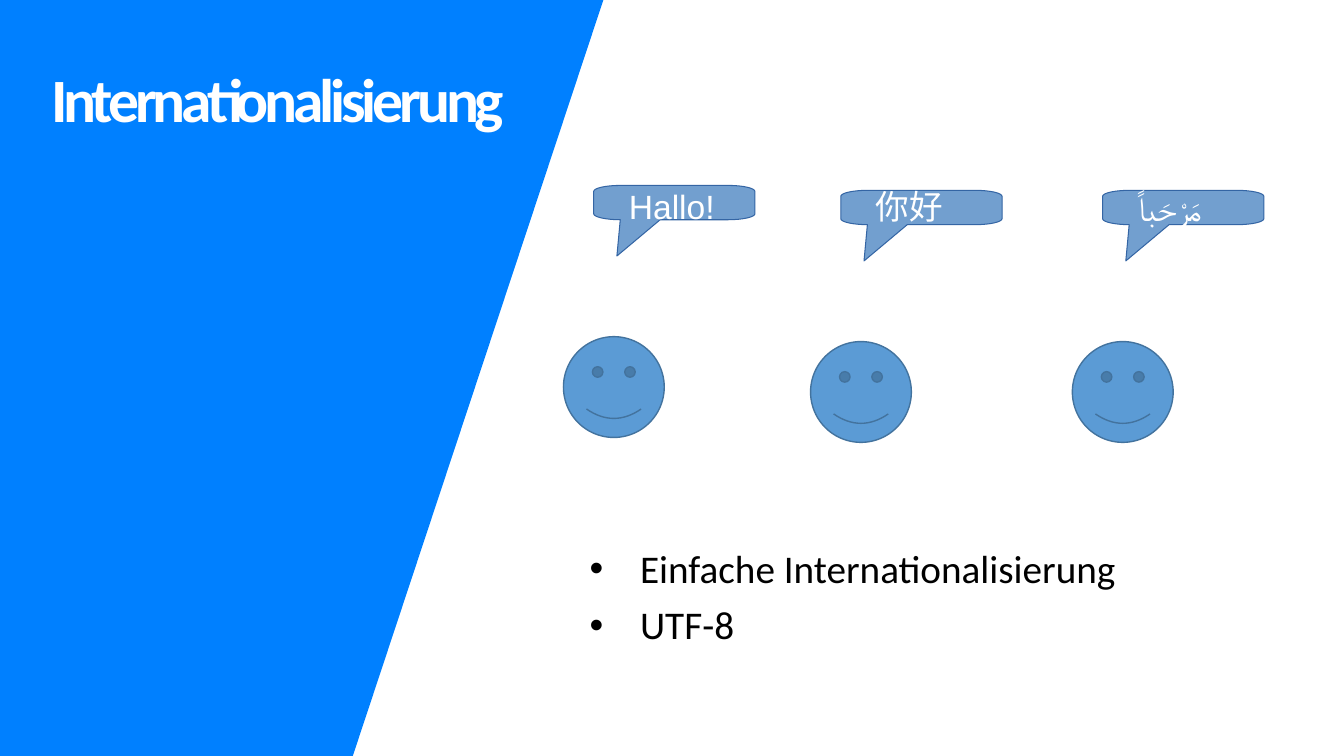
from math import cos, pi, sin

from lxml.etree import SubElement
from pptx import Presentation
from pptx.dml.color import RGBColor
from pptx.enum.shapes import MSO_SHAPE
from pptx.enum.text import MSO_ANCHOR, MSO_AUTO_SIZE, PP_ALIGN
from pptx.oxml.ns import qn
from pptx.util import Pt


def color(value):
    return RGBColor.from_string(value)


def apply(target, values):
    for name, value in values.items():
        setattr(target, name, value)


def place(item, left, top, width, height):
    apply(item, {"left": Pt(left), "top": Pt(top),
                 "width": Pt(width), "height": Pt(height)})


class SlideStyle:
    panel = "0080FF"
    face, face_line = "5B9BD5", "43739E"
    bubble, bubble_line = "729FCF", "3465A4"
    white, black = "FFFFFF", "000000"
    title_font = {"name": "Calibri", "size": Pt(44), "bold": True}
    list_font = {"name": "Calibri", "size": Pt(28)}
    speech_font = {"name": "Arial", "size": Pt(24)}

    def __init__(self, page):
        self.page = page

    def paint(self, shape, fill, line=None, width=1):
        shape.shadow.inherit = False
        shape.fill.solid()
        shape.fill.fore_color.rgb = color(fill)
        if line:
            shape.line.color.rgb = color(line)
            shape.line.width = Pt(width)
        else:
            shape.line.fill.background()
        return shape

    def add_span(self, para, text, font, tint):
        span = para.add_run()
        span.text = text
        apply(span.font, font)
        span.font.color.rgb = color(tint)
        return span

    def outline(self, points):
        points = [(Pt(x), Pt(y)) for x, y in points]
        builder = self.page.shapes.build_freeform(*points[0])
        builder.add_line_segments(points[1:], close=True)
        return builder.convert_to_shape()

    def background(self, points):
        panel = self.paint(self.outline(points), self.panel)
        self.page.shapes.title.element.addprevious(panel.element)

    def title(self, text, *bounds):
        box = self.page.shapes.title
        place(box, *bounds)
        apply(box.text_frame, {"auto_size": MSO_AUTO_SIZE.NONE,
                               "vertical_anchor": MSO_ANCHOR.MIDDLE})
        para = box.text_frame.paragraphs[0]
        apply(para, {"alignment": PP_ALIGN.LEFT, "line_spacing": 0.9})
        span = self.add_span(para, text, self.title_font, self.white)
        span._r.get_or_add_rPr().set("spc", "-300")

    def bullets(self, lines, *bounds):
        box = self.page.placeholders[1]
        place(box, *bounds)
        frame = box.text_frame
        frame.auto_size = MSO_AUTO_SIZE.NONE
        for index, line in enumerate(lines):
            para = frame.add_paragraph() if index else frame.paragraphs[0]
            apply(para, {"line_spacing": 0.9, "space_before": Pt(10)})
            self.add_span(para, line, self.list_font, self.black)
            properties = para._p.get_or_add_pPr()
            properties.set("marL", str(Pt(36)))
            properties.set("indent", str(-Pt(36)))
            tint = SubElement(properties, qn("a:buClr"))
            SubElement(tint, qn("a:srgbClr")).set("val", self.black)
            SubElement(properties, qn("a:buFont")).set("typeface", "Arial")
            SubElement(properties, qn("a:buChar")).set("char", "•")

    def smiley(self, left, top):
        face = self.page.shapes.add_shape(
            MSO_SHAPE.SMILEY_FACE, Pt(left), Pt(top), Pt(72), Pt(72))
        self.paint(face, self.face, self.face_line)

    def speech_bubble(self, left, top):
        width, height, radius_x, radius_y, steps = 115.2, 24.5, 19, 4.3, 8
        corners = [(width - radius_x, radius_y),
                   (width - radius_x, height - radius_y),
                   (radius_x, height - radius_y),
                   (radius_x, radius_y)]
        points = []
        for corner, (x, y) in enumerate(corners):
            if corner == 2:
                points += [(47.5, height), (16.6, 50.4)]
            for step in range(steps + 1):
                angle = (corner - 1 + step / steps) * pi / 2
                points.append((x + radius_x * cos(angle),
                               y + radius_y * sin(angle)))
        bubble = self.outline([(left + x, top + y) for x, y in points])
        self.paint(bubble, self.bubble, self.bubble_line, 0.75)

    def speech(self, text, left, top):
        box = self.page.shapes.add_textbox(Pt(left), Pt(top), Pt(79.2), Pt(34))
        box.text_frame.word_wrap = True
        para = box.text_frame.paragraphs[0]
        para.alignment = PP_ALIGN.LEFT
        self.add_span(para, text, self.speech_font, self.white)


deck = Presentation()
apply(deck, {"slide_width": Pt(960), "slide_height": Pt(540)})
style = SlideStyle(deck.slides.add_slide(deck.slide_layouts[1]))

style.background([(0, 0), (431, 0), (252, 540), (0, 540)])
style.title("Internationalisierung", 29.5, 21, 402, 104.4)
style.bullets(["Einfache Internationalisierung", "UTF-8"], 414, 389, 394, 90)

greetings = [("Hallo!", 402.5, 240.5, 129),
             ("你好", 579, 244, 129),
             ("مَرْحَباً", 766, 244, 131)]
for greeting, left, face_top, text_top in greetings:
    style.smiley(left, face_top)
    style.speech_bubble(left + 21.6, face_top - 108)
    style.speech(greeting, left + 39.6, text_top)

deck.save("out.pptx")
